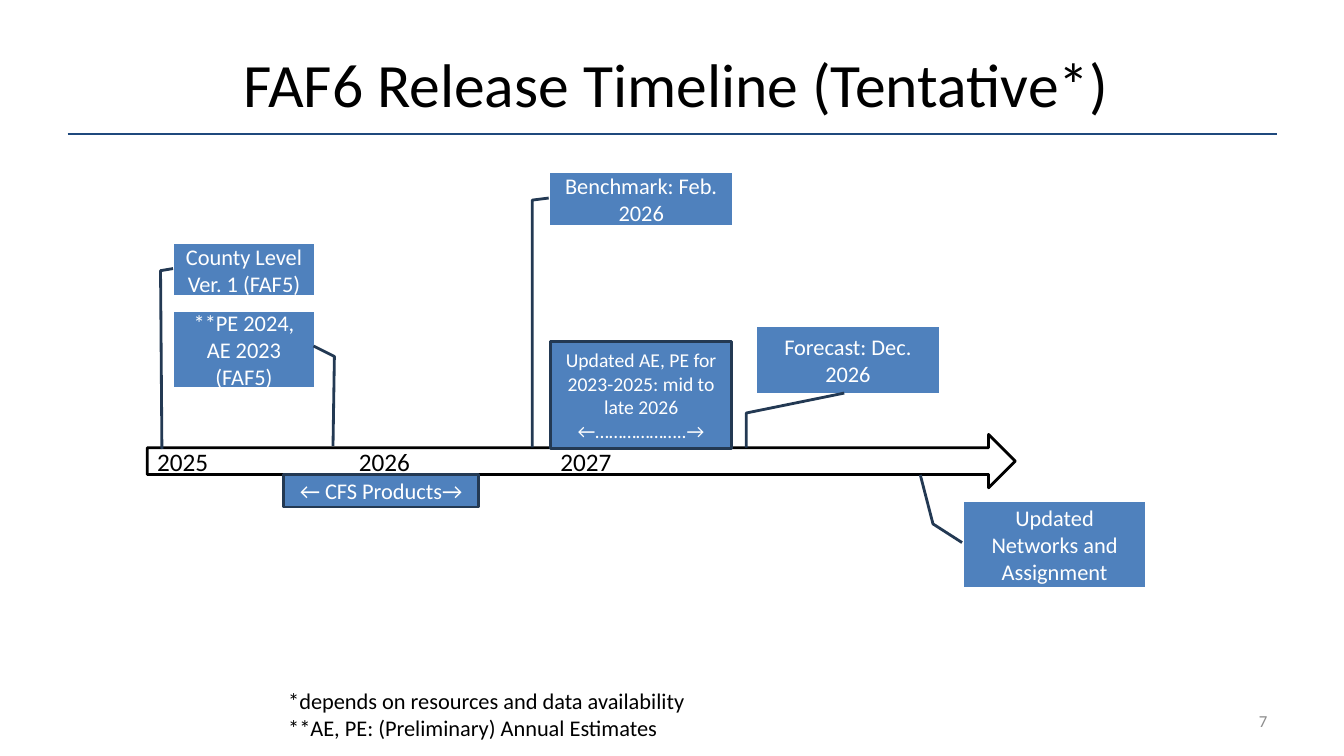
from dataclasses import dataclass

import pptx
import pptx.dml.color
import pptx.enum.shapes
import pptx.enum.text
import pptx.oxml
import pptx.oxml.ns
import pptx.util

KIND = pptx.enum.shapes.MSO_SHAPE
ALIGN = pptx.enum.text.PP_ALIGN
ANCHOR = pptx.enum.text.MSO_ANCHOR
FIT = pptx.enum.text.MSO_AUTO_SIZE
SCALE = 9144
FONT = "Calibri"
COLORS = {
    "white": "FFFFFF",
    "black": "000000",
    "gray": "8C8C8C",
    "rule": "1F497D",
    "box": "4F81BD",
    "edge": "233953",
}


@dataclass
class Box:
    at: tuple[int, int, int, int]
    lines: tuple[str, ...]
    size: int = 16
    color: str = "white"
    align: ALIGN = ALIGN.CENTER
    kind: KIND = KIND.RECTANGLE
    fill: str = "box"
    edge: str = "edge"
    bend: tuple[float, ...] = ()


@dataclass
class Label:
    at: tuple[int, int, int, int]
    lines: tuple[str, ...]
    size: int
    color: str
    align: ALIGN
    anchor: ANCHOR = ANCHOR.MIDDLE
    wrap: bool = True


CALL = KIND.LINE_CALLOUT_2_NO_BORDER

BOXES = [
    Box((146, 431, 861, 53), ("2025\t\t\t2026\t\t\t2027",), 18, "black",
        ALIGN.LEFT, KIND.RIGHT_ARROW, "white", "black"),
    Box((173, 242, 138, 51), ("County Level Ver. 1 (FAF5)",), kind=CALL,
        bend=(0.48, -0.01, 0.52, -0.1, 3.99, -0.09)),
    Box((956, 498, 180, 84), ("Updated Networks and Assignment",), kind=CALL,
        bend=(0.48, -0.01, 0.26, -0.17, -0.32, -0.24)),
    Box((546, 172, 180, 51), ("Benchmark: Feb. 2026",), kind=CALL,
        bend=(0.48, -0.01, 0.52, -0.1, 5.33, -0.1)),
    Box((751, 324, 180, 66), ("Forecast: Dec. 2026",), kind=CALL,
        bend=(1, 0.48, 1.3, -0.06, 1.82, -0.06)),
    Box((281, 471, 194, 32), ("← CFS Products→",)),
    Box((546, 339, 180, 106),
        ("Updated AE, PE for 2023-2025: mid to late 2026", "←………………..→"), 14),
    Box((173, 310, 138, 74), ("**PE 2024, AE 2023 (FAF5)",), kind=CALL,
        bend=(0.45, 1, 0.59, 1.15, 1.79, 1.14)),
]

LABELS = [
    Label((956, 695, 311, 40), ("7",), 12, "gray", ALIGN.RIGHT),
    Label((71, 31, 1200, 102), ("FAF6 Release Timeline (Tentative*)",), 44,
          "black", ALIGN.CENTER),
    Label((276, 677, 429, 64),
          ("*depends on resources and data availability",
           "**AE, PE: (Preliminary) Annual Estimates"),
          16, "black", ALIGN.LEFT, ANCHOR.TOP, False),
]


def px(count: int) -> pptx.util.Emu:
    return pptx.util.Emu(count * SCALE)


def tint(name: str) -> pptx.dml.color.RGBColor:
    return pptx.dml.color.RGBColor.from_string(COLORS[name])


def write(frame, item: Box | Label) -> None:
    for index, text in enumerate(item.lines):
        para = frame.add_paragraph() if index else frame.paragraphs[0]
        para.alignment = item.align
        run = para.add_run()
        run.text = text
        run.font.name = FONT
        run.font.size = pptx.util.Pt(item.size)
        run.font.color.rgb = tint(item.color)


def stroke(line, color: str) -> None:
    line.color.rgb = tint(color)
    line.width = pptx.util.Pt(2)


def draw_box(slide, box: Box) -> None:
    shape = slide.shapes.add_shape(box.kind, *map(px, box.at))
    shape.shadow.inherit = False
    shape.fill.solid()
    shape.fill.fore_color.rgb = tint(box.fill)
    stroke(shape.line, box.edge)
    for index, value in enumerate(box.bend):
        shape.adjustments[index] = value
    frame = shape.text_frame
    frame.word_wrap = True
    frame.vertical_anchor = ANCHOR.MIDDLE
    write(frame, box)


def draw_label(slide, label: Label) -> None:
    frame = slide.shapes.add_textbox(*map(px, label.at)).text_frame
    frame.word_wrap = label.wrap
    frame.auto_size = FIT.NONE if label.wrap else FIT.SHAPE_TO_FIT_TEXT
    frame.vertical_anchor = label.anchor
    write(frame, label)


def draw_rule(slide) -> None:
    rule = slide.shapes.add_connector(
        pptx.enum.shapes.MSO_CONNECTOR.STRAIGHT, *map(px, (67, 133, 1267, 133)))
    stroke(rule.line, "rule")
    props = rule._element.spPr
    props.append(pptx.oxml.parse_xml(
        f"<a:effectLst {pptx.oxml.ns.nsdecls('a')}/>"))


def main() -> None:
    deck = pptx.Presentation()
    deck.slide_width, deck.slide_height = px(1333), px(750)
    slide = deck.slides.add_slide(deck.slide_layouts[6])
    draw_rule(slide)
    for label in LABELS:
        draw_label(slide, label)
    for box in BOXES:
        draw_box(slide, box)
    deck.save("out.pptx")


if __name__ == "__main__":
    main()
